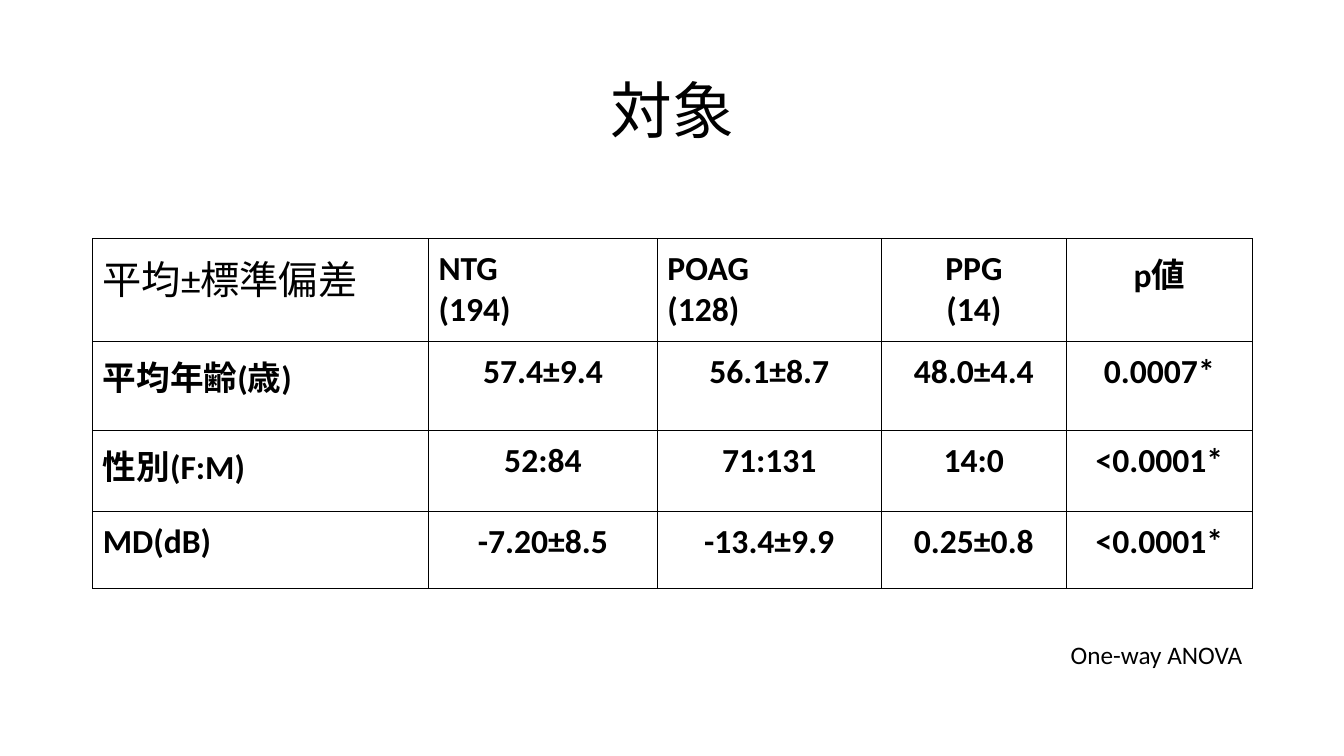
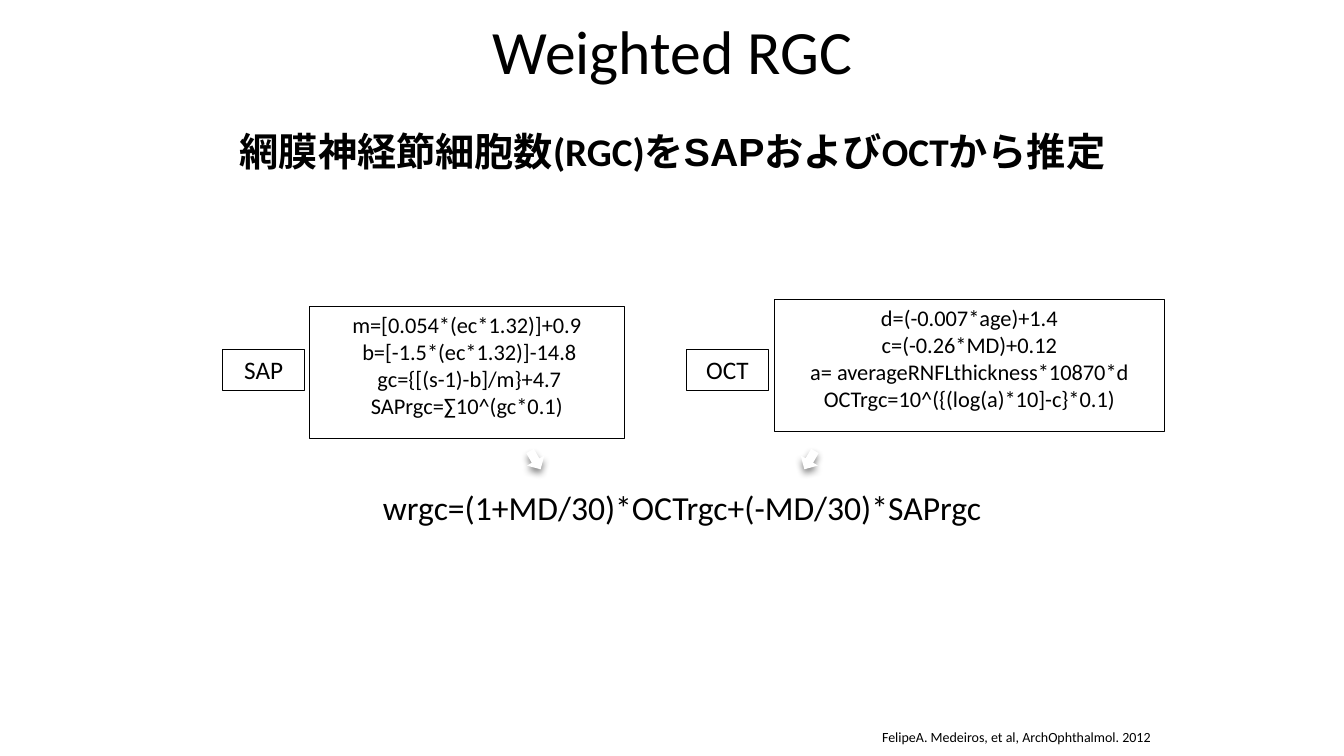
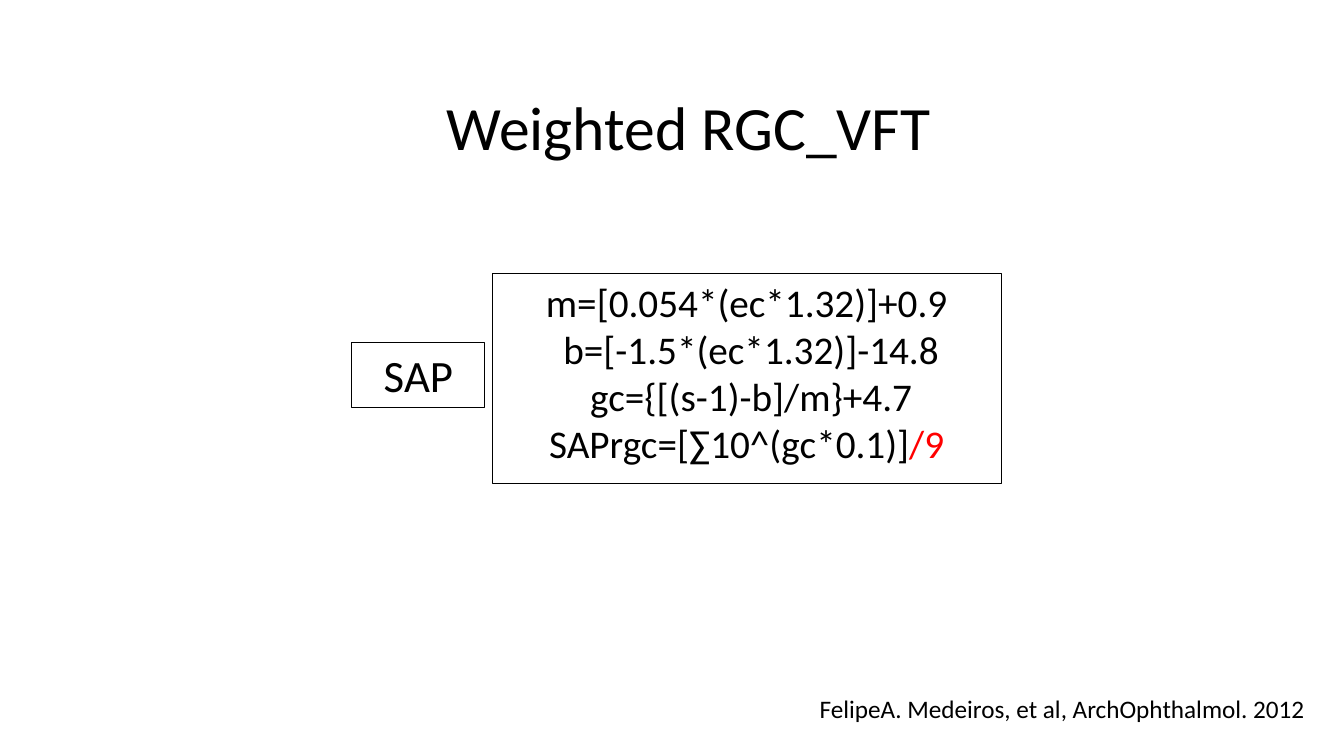
from lxml import etree
from pptx import Presentation
from pptx.dml.color import RGBColor
from pptx.enum.lang import MSO_LANGUAGE_ID
from pptx.enum.shapes import MSO_SHAPE
from pptx.enum.text import MSO_ANCHOR, PP_ALIGN
from pptx.oxml import parse_xml
from pptx.oxml.ns import nsdecls, qn
from pptx.util import Inches, Pt

BLACK, WHITE, RED = "000000", "FFFFFF", "FF0000"
LEFT, CENTER, RIGHT = PP_ALIGN.LEFT, PP_ALIGN.CENTER, PP_ALIGN.RIGHT
CITATION = "FelipeA. Medeiros, et al, ArchOphthalmol. 2012"
SAP_STEPS = ["m=[0.054*(ec*1.32)]+0.9", " b=[-1.5*(ec*1.32)]-14.8", " gc={[(s-1)-b]/m}+4.7"]
TITLE_STYLE = dict(size=44, align=CENTER, spacing=0.9, anchor=MSO_ANCHOR.MIDDLE)

color = RGBColor.from_string


def write(frame, lines, size, align=LEFT, bold=False, spacing=None):
    """Fill a text frame; a line is a string or a list of (text, font, colour) runs."""
    for index, line in enumerate(lines):
        paragraph = frame.add_paragraph() if index else frame.paragraphs[0]
        paragraph.alignment = align
        paragraph.line_spacing = spacing
        runs = [(line, "Calibri", BLACK)] if isinstance(line, str) else line
        for content, font_name, hex_color in runs:
            run = paragraph.add_run()
            run.text = content
            run.font.name = font_name
            run.font.size = Pt(size)
            run.font.bold = bold
            run.font.color.rgb = color(hex_color)
            run.font.language_id = MSO_LANGUAGE_ID.JAPANESE


def add_box(slide, place, lines, size, anchor=MSO_ANCHOR.TOP, framed=False, **style):
    place = [Inches(length) for length in place]
    if framed:
        shape = slide.shapes.add_shape(MSO_SHAPE.RECTANGLE, *place)
        shape.shadow.inherit = False
        shape.fill.background()
        shape.line.color.rgb = color(BLACK)
        shape.line.width = Pt(0.75)
    else:
        shape = slide.shapes.add_textbox(*place)
    shape.text_frame.word_wrap = True
    shape.text_frame.vertical_anchor = anchor
    write(shape.text_frame, lines, size, **style)


presentation = Presentation()
presentation.slide_width = Inches(13.33)
presentation.slide_height = Inches(7.5)
subjects, weighted, weighted_field = [
    presentation.slides.add_slide(presentation.slide_layouts[6]) for _ in range(3)
]

# Subjects
add_box(subjects, (0.92, 0.4, 11.5, 1.45), ["対象"], **TITLE_STYLE)
table_rows = [
    ["平均±標準偏差", "NTG\n(194)", "POAG\n(128)", "PPG\n(14)", "p値"],
    ["平均年齢(歳)", "57.4±9.4", "56.1±8.7", "48.0±4.4", "0.0007*"],
    ["性別(F:M)", "52:84", "71:131", "14:0", "<0.0001*"],
    ["MD(dB)", "-7.20±8.5", "-13.4±9.9", "0.25±0.8", "<0.0001*"],
]
column_widths = [3.33, 2.27, 2.22, 1.84, 1.84]
row_heights = [1.02, 0.88, 0.8, 0.77]
table = subjects.shapes.add_table(
    len(row_heights), len(column_widths), Inches(0.92), Inches(2.37),
    Inches(sum(column_widths)), Inches(sum(row_heights)),
).table
table.first_row = table.horz_banding = False
for column, width in zip(table.columns, column_widths):
    column.width = Inches(width)
for row, height in zip(table.rows, row_heights):
    row.height = Inches(height)
for row_index, values in enumerate(table_rows):
    for column_index, value in enumerate(values):
        cell = table.cell(row_index, column_index)
        cell.margin_left = cell.margin_right = Inches(0.1)
        cell.margin_top = cell.margin_bottom = Inches(0.1)
        properties = cell._tc.get_or_add_tcPr()
        for side in ("lnL", "lnR", "lnT", "lnB"):
            border = etree.SubElement(properties, qn(f"a:{side}"), w=str(Pt(0.75)))
            fill = etree.SubElement(border, qn("a:solidFill"))
            etree.SubElement(fill, qn("a:srgbClr"), val=BLACK)
        cell.fill.background()
        is_corner = row_index == column_index == 0
        is_left = column_index == 0 or (row_index == 0 and column_index < 3)
        write(cell.text_frame, value.split("\n"), 28 if is_corner else 24,
              align=LEFT if is_left else CENTER, bold=not is_corner)
add_box(subjects, (8.75, 6.29, 3.67, 0.47), ["One-way ANOVA"], 18, align=RIGHT)

# Weighted RGC
add_box(weighted, (1.67, 0.21, 10, 0.67), ["Weighted RGC"], **TITLE_STYLE)
summary = [
    ("網膜神経節細胞数", "Arial", BLACK),
    ("(RGC)", "Calibri", BLACK),
    ("をSAPおよび", "Arial", BLACK),
    ("OCT", "Calibri", BLACK),
    ("から推定", "Arial", BLACK),
]
add_box(weighted, (2.28, 1.21, 8.82, 1.04), [summary], 28, bold=True)
oct_steps = [
    "d=(-0.007*age)+1.4",
    "c=(-0.26*MD)+0.12",
    "a= averageRNFLthickness*10870*d",
    "OCTrgc=10^({(log(a)*10]-c}*0.1)",
]
for label, label_left, steps, steps_place in (
    ("SAP", 2.21, SAP_STEPS + ["SAPrgc=∑10^(gc*0.1)"], (3.07, 3.04, 3.12, 1.31)),
    ("OCT", 6.81, oct_steps, (7.68, 2.97, 3.87, 1.31)),
):
    add_box(weighted, (label_left, 3.47, 0.81, 0.4), [label], 18, framed=True, align=CENTER)
    add_box(weighted, steps_place, steps, 16, framed=True, align=CENTER)
for left, rotation in ((5.21, 330), (7.93, 30)):
    arrow = weighted.shapes.add_shape(
        MSO_SHAPE.DOWN_ARROW, Inches(left), Inches(4.46), Inches(0.2), Inches(0.21))
    arrow.rotation = rotation
    arrow.adjustments[0] = 0.43
    arrow.fill.solid()
    arrow.fill.fore_color.rgb = color(WHITE)
    arrow.line.fill.background()
    arrow._element.spPr.append(parse_xml(
        f'<a:effectLst {nsdecls("a")}>'
        f'<a:outerShdw blurRad="{Pt(5)}" dist="{Pt(3)}" dir="5400000" rotWithShape="0">'
        f'<a:srgbClr val="{BLACK}"><a:alpha val="45000"/></a:srgbClr>'
        '</a:outerShdw></a:effectLst>'))
add_box(weighted, (3.7, 4.78, 6.27, 0.5), ["wrgc=(1+MD/30)*OCTrgc+(-MD/30)*SAPrgc"], 24)
add_box(weighted, (8.65, 7.18, 3.12, 0.27), [CITATION], 10)

# Weighted RGC from the visual field test
add_box(weighted_field, (1.08, 0.57, 11.5, 1.45), ["Weighted RGC_VFT"], **TITLE_STYLE)
average = [("SAPrgc=[∑10^(gc*0.1)]", "Calibri", BLACK), ("/9", "Calibri", RED)]
add_box(weighted_field, (3.49, 3.4, 1.32, 0.64), ["SAP"], 32, framed=True, align=CENTER)
add_box(weighted_field, (4.88, 2.71, 5.05, 2.09), SAP_STEPS + [average], 28,
        framed=True, align=CENTER)
add_box(weighted_field, (7.63, 6.83, 5.41, 0.47), [CITATION], 18, align=RIGHT)

presentation.save("out.pptx")
